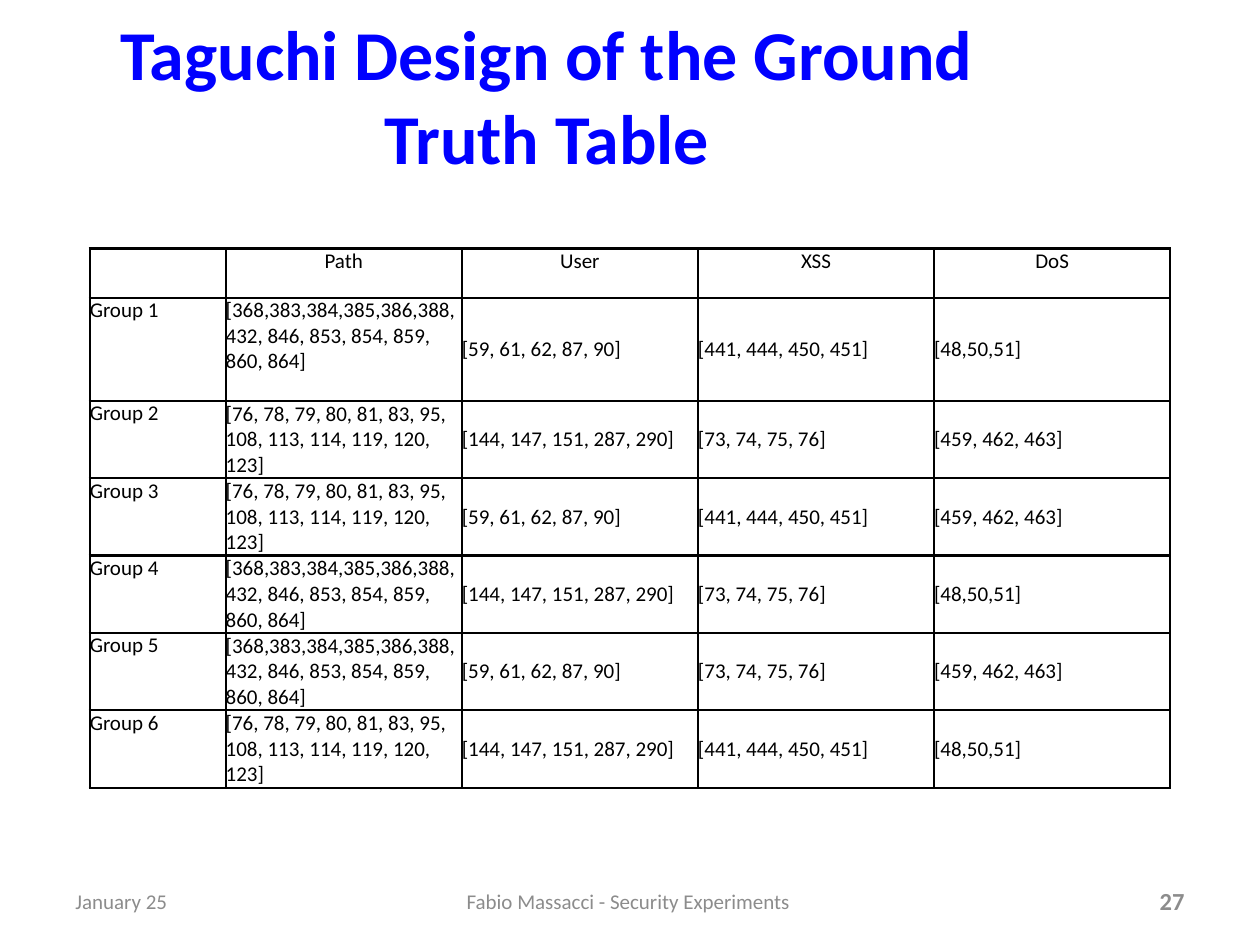
from dataclasses import dataclass

from lxml import etree
from pptx import Presentation
from pptx import util as u
from pptx.dml.color import RGBColor
from pptx.enum import text
from pptx.oxml.ns import qn


@dataclass(frozen=True)
class Theme:
    """Colours, font and type sizes of the deck."""
    font: str = "Calibri"
    title: str = "0000FF"
    ink: str = "000000"
    muted: str = "8C8C8C"
    paper: str = "FFFFFF"
    title_size: int = 40
    body_size: int = 12
    number_size: int = 14
    border: float = 1.5


class SlideBuilder:
    """Adds styled elements to one slide."""

    def __init__(self, page, theme):
        """Keep the slide and its style."""
        self.page = page
        self.theme = theme

    def add_span(self, frame, words, size, color, align, bold=False):
        """Add one styled run to a text frame."""
        para = frame.paragraphs[0]
        para.alignment = align
        span = para.add_run()
        span.text = words
        span.font.name = self.theme.font
        span.font.size = u.Pt(size)
        span.font.bold = bold
        span.font.color.rgb = RGBColor.from_string(color)

    def label(self, words, left, top, width, height, size, color, align, bold=False):
        """Add a wrapped text box centred vertically."""
        box = self.page.shapes.add_textbox(*map(u.Cm, (left, top, width, height)))
        frame = box.text_frame
        frame.word_wrap = True
        frame.vertical_anchor = text.MSO_ANCHOR.MIDDLE
        self.add_span(frame, words, size, color, align, bold)

    def outline(self, cell):
        """Draw a line on all four sides of a cell."""
        properties = cell._tc.get_or_add_tcPr()
        for side in ("a:lnL", "a:lnR", "a:lnT", "a:lnB"):
            line = etree.SubElement(properties, qn(side), w=str(u.Pt(self.theme.border)))
            fill = etree.SubElement(line, qn("a:solidFill"))
            etree.SubElement(fill, qn("a:srgbClr"), val=self.theme.ink)

    def table(self, rows, left, top, widths, heights, top_cells):
        """Add a ruled table whose header row is centred."""
        table = self.page.shapes.add_table(
            len(rows), len(widths), u.Cm(left), u.Cm(top),
            u.Cm(sum(widths)), u.Cm(sum(heights))).table
        table.first_row = table.horz_banding = False
        for column, width in zip(table.columns, widths):
            column.width = u.Cm(width)
        for i, (row, height) in enumerate(zip(rows, heights)):
            table.rows[i].height = u.Cm(height)
            for j, words in enumerate(row):
                cell = table.cell(i, j)
                self.outline(cell)
                cell.fill.solid()
                cell.fill.fore_color.rgb = RGBColor.from_string(self.theme.paper)
                cell.margin_left = cell.margin_right = 0
                cell.margin_top = cell.margin_bottom = 0
                at_top = i == 0 or j == 0 or (i, j) in top_cells
                cell.vertical_anchor = text.MSO_ANCHOR.TOP if at_top else text.MSO_ANCHOR.MIDDLE
                align = text.PP_ALIGN.CENTER if i == 0 else text.PP_ALIGN.LEFT
                if words:
                    self.add_span(cell.text_frame, words, self.theme.body_size,
                                  self.theme.ink, align)


PATH = ("[368,383,384,385,386,388, 432, 846, 853, 854, 859, 860, 864]",
        "[76, 78, 79, 80, 81, 83, 95, 108, 113, 114, 119, 120, 123]")
USER = ("[59, 61, 62, 87, 90]", "[144, 147, 151, 287, 290]")
XSS = ("[441, 444, 450, 451]", "[73, 74, 75, 76]")
DOS = ("[48,50,51]", "[459, 462, 463]")
FACTORS = (PATH, USER, XSS, DOS)
DESIGN = ((0, 0, 0, 0), (1, 1, 1, 1), (1, 0, 0, 1),
          (0, 1, 1, 0), (0, 0, 1, 1), (1, 1, 0, 0))


def main():
    """Build and save the slide."""
    deck = Presentation()
    deck.slide_width, deck.slide_height = u.Cm(25.4), u.Cm(19.05)
    theme = Theme()
    builder = SlideBuilder(deck.slides.add_slide(deck.slide_layouts[6]), theme)
    align = text.PP_ALIGN

    builder.label("Taguchi Design of the Ground Truth Table", 1.27, 0.76, 19.5, 2.31,
                  theme.title_size, theme.title, align.CENTER, bold=True)

    rows = [("", "Path", "User", "XSS", "DoS")]
    for number, levels in enumerate(DESIGN, 1):
        values = [factor[level] for factor, level in zip(FACTORS, levels)]
        rows.append((f"Group {number}", *values))
    builder.table(rows, 1.81, 5.01, [2.74] + [4.76] * 4,
                  [0.99, 2.08] + [1.56] * 5, top_cells={(1, 1)})

    footers = (
        ("January 25", 1.27, 5.92, theme.body_size, align.LEFT, False),
        ("Fabio Massacci - Security Experiments ", 8.69, 8.05, theme.body_size,
         align.CENTER, False),
        ("27", 18.21, 5.92, theme.number_size, align.RIGHT, True),
    )
    for words, left, width, size, side, bold in footers:
        builder.label(words, left, 17.65, width, 1.02, size, theme.muted, side, bold)

    deck.save("out.pptx")


if __name__ == "__main__":
    main()
